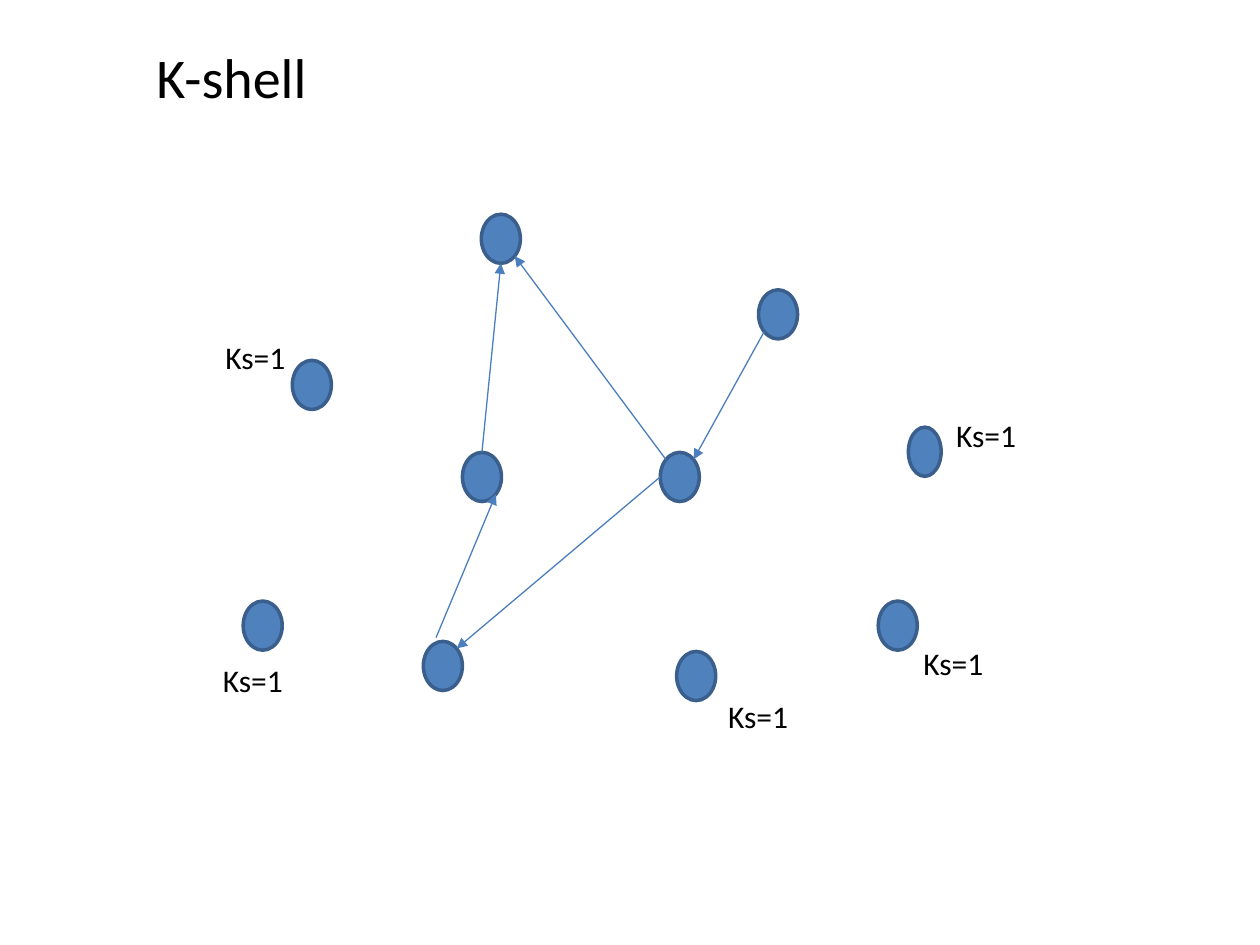
import pptx
import pptx.util
import pptx.dml.color
import pptx.enum.shapes
import pptx.enum.text
import pptx.oxml
import pptx.oxml.ns
from pptx.util import Inches

THEME = {
    "font": "Calibri", "title": 32, "label": 18,
    "text": "000000", "node": "4F81BD", "outline": "3A5F8C", "edge": "4B7EBC",
    "outline_width": 2, "edge_width": 0.75,
}
TITLE = ("K-shell", (1.14, 0.29, 5.04, 0.64))
NODE_W, NODE_H = 0.31, 0.39
NODES = {
    "top": (3.82, 1.7),
    "lower right": (5.37, 5.17),
    "bottom": (3.36, 5.09),
    "lower left": (1.93, 4.77),
    "upper right": (6.02, 2.3),
    "east": (5.24, 3.59),
    "west": (3.67, 3.59),
    "upper left": (2.32, 2.86),
    "far right": (6.97, 4.77),
    "narrow": (7.21, 3.39),
}
WIDTHS = {"narrow": 0.26}
D = 0.71
SITES = {
    "n": (0, -1), "s": (0, 1), "w": (-1, 0),
    "nw": (-D, -D), "ne": (D, -D), "sw": (-D, D), "se": (D, D),
    "above": (-0.35, -1.15),
}
EDGES = [
    (("west", "n"), ("top", "s")),
    (("bottom", "above"), ("west", "se")),
    (("east", "w"), ("bottom", "ne")),
    (("upper right", "sw"), ("east", "ne")),
    (("east", "nw"), ("top", "se")),
]
LABEL, LABEL_H = "Ks=1", 0.4
LABELS = [
    (1.69, 2.63, 1.58), (7.23, 5.06, 1), (5.68, 5.48, 0.74),
    (1.67, 5.2, 0.97), (7.49, 3.25, 0.74),
]


def color(key):
    return pptx.dml.color.RGBColor.from_string(THEME[key])


def write(sp, text, size):
    tf = sp.text_frame
    frame_format = {
        "word_wrap": True,
        "auto_size": pptx.enum.text.MSO_AUTO_SIZE.SHAPE_TO_FIT_TEXT,
        "vertical_anchor": pptx.enum.text.MSO_ANCHOR.TOP,
    }
    for name, value in frame_format.items():
        setattr(tf, name, value)
    p = tf.paragraphs[0]
    p.alignment = pptx.enum.text.PP_ALIGN.LEFT
    r = p.add_run()
    r.text = text
    for name, value in {"name": THEME["font"], "size": pptx.util.Pt(THEME[size])}.items():
        setattr(r.font, name, value)
    r.font.color.rgb = color("text")


def set_line(sp, key, width):
    sp.line.color.rgb = color(key)
    sp.line.width = pptx.util.Pt(THEME[width])


def site_point(node, site):
    (x, y), (dx, dy) = NODES[node], SITES[site]
    w = WIDTHS.get(node, NODE_W)
    return Inches(x + w / 2 * (1 + dx)), Inches(y + NODE_H / 2 * (1 + dy))


def add_node(s, name):
    x, y = NODES[name]
    box = map(Inches, (x, y, WIDTHS.get(name, NODE_W), NODE_H))
    sp = s.shapes.add_shape(pptx.enum.shapes.MSO_SHAPE.OVAL, *box)
    sp.shadow.inherit = False
    sp.fill.solid()
    sp.fill.fore_color.rgb = color("node")
    set_line(sp, "outline", "outline_width")


def add_edge(s, start, end):
    sp = s.shapes.add_connector(
        pptx.enum.shapes.MSO_CONNECTOR.STRAIGHT, *site_point(*start), *site_point(*end))
    set_line(sp, "edge", "edge_width")
    ns = pptx.oxml.ns.nsdecls("a")
    sp.line._get_or_add_ln().append(
        pptx.oxml.parse_xml(f'<a:tailEnd {ns} type="triangle"/>'))
    sp._element.spPr.append(pptx.oxml.parse_xml(f"<a:effectLst {ns}/>"))


def main():
    prs = pptx.Presentation()
    prs.slide_width, prs.slide_height = Inches(10), Inches(7.5)
    s = prs.slides.add_slide(prs.slide_layouts[5])
    text, box = TITLE
    title = s.shapes.title
    for name, value in zip(("left", "top", "width", "height"), box):
        setattr(title, name, Inches(value))
    write(title, text, "title")
    for name in NODES:
        add_node(s, name)
    for start, end in EDGES:
        add_edge(s, start, end)
    for x, y, w in LABELS:
        write(s.shapes.add_textbox(*map(Inches, (x, y, w, LABEL_H))), LABEL, "label")
    prs.save("out.pptx")


if __name__ == "__main__":
    main()
